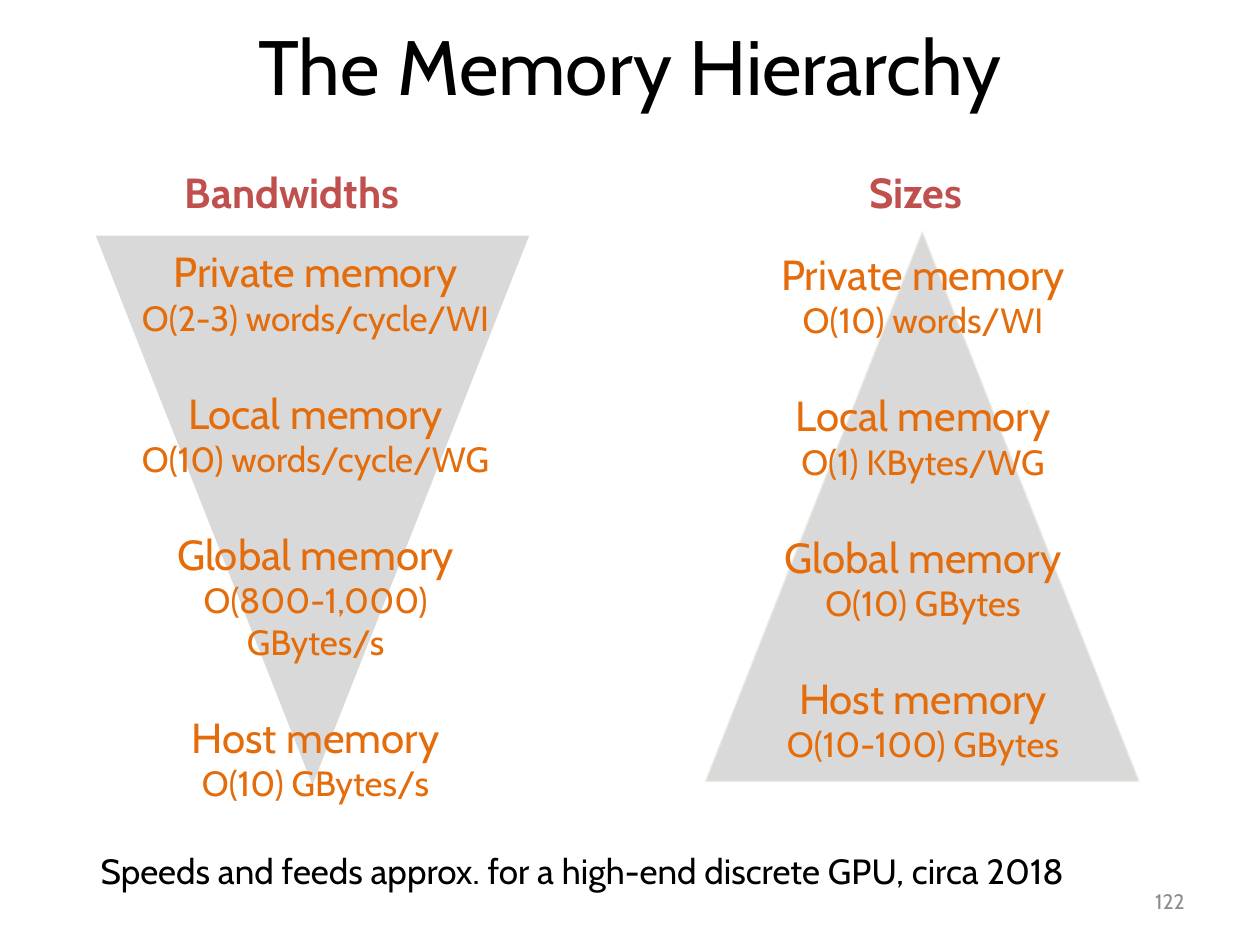
from dataclasses import dataclass
from typing import Optional

from pptx import Presentation
from pptx.dml.color import RGBColor
from pptx.enum.shapes import MSO_SHAPE as Shape
from pptx.enum.text import MSO_ANCHOR as Anchor, PP_ALIGN as Align
from pptx.util import Pt

FONT = "Cabin"
BLACK = RGBColor(0x00, 0x00, 0x00)
GREY = RGBColor(0x8C, 0x8C, 0x8C)
LIGHT_GREY = RGBColor(0xD9, 0xD9, 0xD9)
CREAM = RGBColor(0xEE, 0xEC, 0xE1)
ORANGE = RGBColor(0xE4, 0x6C, 0x0A)
RED = RGBColor(0xC0, 0x50, 0x4D)

LEVELS = ("Private memory", "Local memory", "Global memory", "Host memory")
LEVEL_GAP = 28.4
LINE_SPACING = 0.99


@dataclass
class Box:
    left: float
    top: float
    width: float
    height: float

    def lengths(self) -> tuple:
        return tuple(Pt(v) for v in (self.left, self.top, self.width, self.height))


@dataclass
class Pyramid:
    heading: str
    heading_box: Box
    triangle_box: Box
    text_box: Box
    values: tuple
    inverted: bool = False
    outline: Optional[RGBColor] = None


PYRAMIDS = (
    Pyramid("Bandwidths", Box(98.6, 92.9, 144.7, 36), Box(54.7, 134.6, 247.7, 313.9),
            Box(69.1, 138.2, 222.5, 304.6),
            ("O(2-3) words/cycle/WI", "O(10) words/cycle/WG",
             "O(800-1,000) GBytes/s", "O(10) GBytes/s"), inverted=True),
    Pyramid("Sizes", Box(489.6, 92.9, 71.3, 36), Box(403.2, 132.5, 247.7, 313.9),
            Box(434.2, 139.7, 186.5, 304.6),
            ("O(10) words/WI", "O(1) KBytes/WG", "O(10) GBytes",
             "O(10-100) GBytes"), outline=CREAM),
)


def format_paragraph(paragraph, text: str, size: float, color: RGBColor,
                     align=Align.LEFT, bold: bool = False) -> None:
    paragraph.text = text
    paragraph.alignment = align
    font = paragraph.font
    font.name, font.size, font.bold = FONT, Pt(size), bold
    font.color.rgb = color


def add_label(slide, box: Box, text: str, size: float, color: RGBColor,
              bold: bool = False) -> None:
    frame = slide.shapes.add_textbox(*box.lengths()).text_frame
    frame.word_wrap = False
    format_paragraph(frame.paragraphs[0], text, size, color, bold=bold)
    frame.paragraphs[0].line_spacing = LINE_SPACING


def add_pyramid(slide, pyramid: Pyramid) -> None:
    # Triangle
    triangle = slide.shapes.add_shape(Shape.ISOSCELES_TRIANGLE,
                                      *pyramid.triangle_box.lengths())
    triangle.shadow.inherit = False
    triangle.fill.solid()
    triangle.fill.fore_color.rgb = LIGHT_GREY
    if pyramid.outline is None:
        triangle.line.fill.background()
    else:
        triangle.line.color.rgb = pyramid.outline
        triangle.line.width = Pt(0.75)
    if pyramid.inverted:
        triangle.rotation = 180

    # Memory levels, each with its value below
    frame = slide.shapes.add_textbox(*pyramid.text_box.lengths()).text_frame
    frame.word_wrap = True
    for index, (level, value) in enumerate(zip(LEVELS, pyramid.values)):
        name = frame.add_paragraph() if index else frame.paragraphs[0]
        format_paragraph(name, level, 24, ORANGE, Align.CENTER)
        if index:
            name.space_before = Pt(LEVEL_GAP)
        amount = frame.add_paragraph()
        format_paragraph(amount, value, 20, ORANGE, Align.CENTER)
        name.line_spacing = amount.line_spacing = LINE_SPACING

    add_label(slide, pyramid.heading_box, pyramid.heading, 24, RED, bold=True)


def main() -> None:
    presentation = Presentation()
    presentation.slide_width, presentation.slide_height = Pt(720), Pt(540)
    slide = presentation.slides.add_slide(presentation.slide_layouts[5])

    # Title
    title = slide.shapes.title
    title.left, title.top, title.width, title.height = Box(36, -7.9, 648, 90).lengths()
    title.text_frame.vertical_anchor = Anchor.MIDDLE
    format_paragraph(title.text_frame.paragraphs[0], "The Memory Hierarchy",
                     44, BLACK, Align.CENTER)

    # Bandwidths and sizes
    for pyramid in PYRAMIDS:
        add_pyramid(slide, pyramid)

    # Footnote and page number
    add_label(slide, Box(50.4, 483.1, 609.1, 31),
              "Speeds and feeds approx. for a high-end discrete GPU, circa 2018",
              20, BLACK)
    number = slide.shapes.add_textbox(*Box(516.2, 500.4, 167.8, 28.8).lengths())
    number.text_frame.word_wrap = True
    number.text_frame.vertical_anchor = Anchor.MIDDLE
    format_paragraph(number.text_frame.paragraphs[0], "122", 12, GREY, Align.RIGHT)

    presentation.save("out.pptx")


if __name__ == "__main__":
    main()
